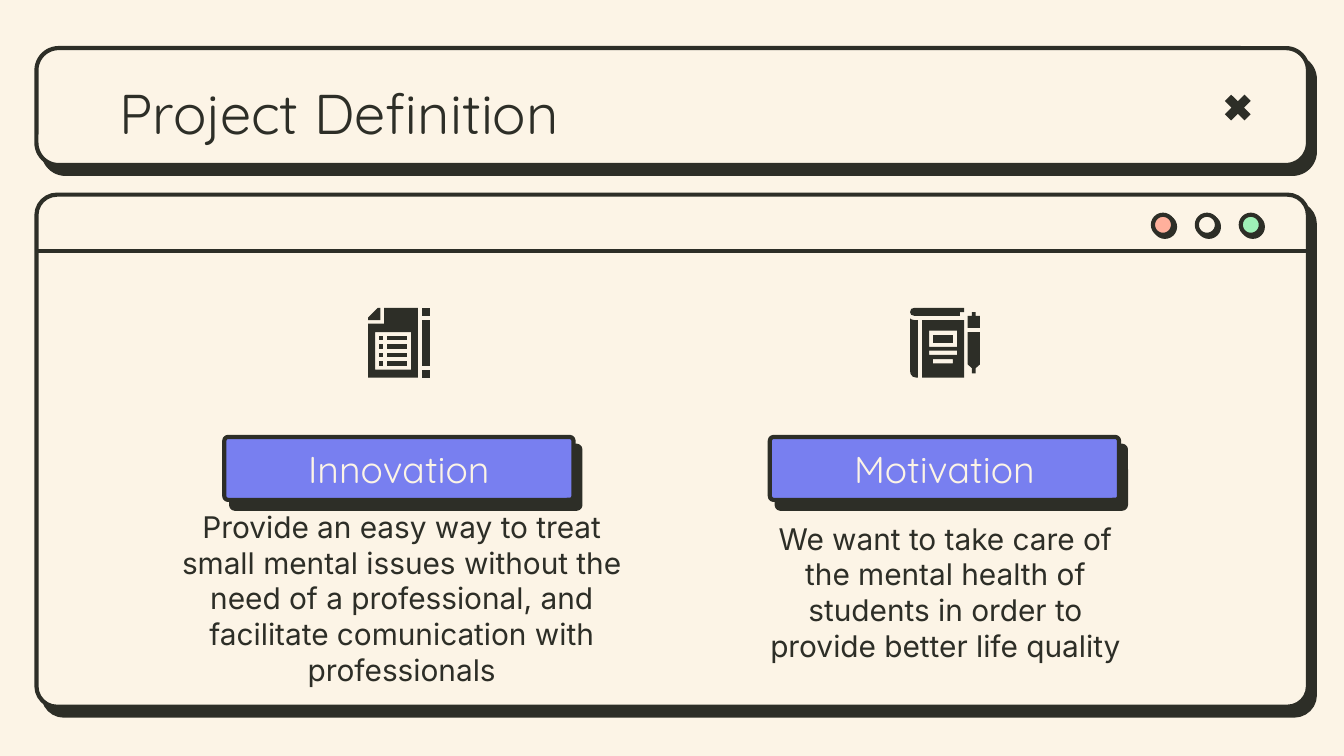
from lxml.etree import SubElement
from pptx import Presentation
from pptx.dml.color import RGBColor
from pptx.enum.shapes import MSO_CONNECTOR, MSO_SHAPE as SHAPE
from pptx.enum.text import MSO_ANCHOR as ANCHOR, MSO_AUTO_SIZE as AUTO, PP_ALIGN as ALIGN
from pptx.oxml.ns import qn
from pptx.util import Cm, Pt

CREAM = RGBColor(0xFC, 0xF4, 0xE6)
INK = RGBColor(0x2D, 0x2E, 0x27)
VIOLET = RGBColor(0x78, 0x7F, 0xF0)
CORAL = RGBColor(0xFF, 0xB0, 0x9C)
MINT = RGBColor(0x9F, 0xF1, 0xB7)

INSET = Cm(0.25)
FRAME = {"margin_left": INSET, "margin_right": INSET, "margin_top": INSET,
         "margin_bottom": INSET, "word_wrap": True, "auto_size": AUTO.NONE}
TITLE_FONT = {"name": "Quicksand", "size": Pt(30), "bold": False}
LABEL_FONT = {"name": "Quicksand", "size": Pt(20), "bold": False}
BODY_FONT = {"name": "Inter", "size": Pt(16), "bold": False}


def write(shape, text, font, color, align=ALIGN.CENTER, anchor=ANCHOR.MIDDLE):
    frame = shape.text_frame
    for key, value in {**FRAME, "vertical_anchor": anchor}.items():
        setattr(frame, key, value)
    paragraph = frame.paragraphs[0]
    paragraph.alignment = align
    run = paragraph.add_run()
    run.text = text
    for key, value in font.items():
        setattr(run.font, key, value)
    run.font.color.rgb = color


def box(left, top, width, height):
    right, bottom = left + width, top + height
    return [(left, top), (right, top), (right, bottom), (left, bottom)]


prs = Presentation()
prs.slide_width, prs.slide_height = Cm(25.4), Cm(14.29)
slide = prs.slides.add_slide(prs.slide_layouts[5])
slide.background.fill.solid()
slide.background.fill.fore_color.rgb = CREAM
shapes = slide.shapes

window = (SHAPE.ROUNDED_RECTANGLE, 0.69, 3.68, 24.03, 9.68, 0.04, CREAM, 6, 52)
buttons = [(SHAPE.OVAL, 21.79 + 0.83 * i, 4.06, 0.38, 0.38, None, color, 1.5, 45)
           for i, color in enumerate((CORAL, CREAM, MINT))]
title_bar = (SHAPE.ROUNDED_RECTANGLE, 0.69, 0.91, 24.03, 2.21, 0.19, CREAM, 6, 52)
labels = [(SHAPE.ROUNDED_RECTANGLE, left, 8.26, 6.6, 1.19, 0.06, VIOLET, 6, 52)
          for left in (4.24, 14.55)]

raised = []
for kind, left, top, width, height, corner, color, distance, angle in (
        window, *buttons, title_bar, *labels):
    part = shapes.add_shape(kind, Cm(left), Cm(top), Cm(width), Cm(height))
    if corner is not None:
        part.adjustments[0] = corner
    part.fill.solid()
    part.fill.fore_color.rgb = color
    part.line.color.rgb = INK
    part.line.width = Pt(2.25)
    part.shadow.inherit = False
    effects = part.element.spPr.find(qn("a:effectLst"))
    shadow = SubElement(effects, qn("a:outerShdw"), dist=str(Pt(distance)),
                        dir=str(angle * 60000), algn="bl", rotWithShape="0")
    SubElement(shadow, qn("a:srgbClr"), val=str(INK))
    raised.append(part)

divider = shapes.add_connector(MSO_CONNECTOR.STRAIGHT, Cm(0.69), Cm(4.75), Cm(24.7), Cm(4.75))
divider.line.color.rgb = INK
divider.line.width = Pt(2.25)
SubElement(divider.element.spPr, qn("a:effectLst"))

close_mark = shapes.add_shape(SHAPE.MATH_MULTIPLY, Cm(23.04), Cm(1.68), Cm(0.71), Cm(0.71))
close_mark.fill.solid()
close_mark.fill.fore_color.rgb = INK
close_mark.line.fill.background()
close_mark.shadow.inherit = False

title = shapes.title
title.left, title.top, title.width, title.height = Cm(2.01), Cm(1.24), Cm(21.41), Cm(1.6)
write(title, "Project Definition", TITLE_FONT, INK, ALIGN.LEFT, ANCHOR.TOP)
title.element.getparent().append(title.element)

topics = [
    ("Innovation", (3, 9.83, 9.19, 2.95),
     "Provide an easy way to treat small mental issues without the need of a "
     "professional, and facilitate comunication with professionals"),
    ("Motivation", (14.02, 9.83, 7.7, 2.72),
     "We want to take care of the mental health of students in order to "
     "provide better life quality"),
]
for label, (heading, place, body) in zip(raised[-2:], topics):
    write(label, heading, LABEL_FONT, CREAM)
    write(shapes.add_textbox(*map(Cm, place)), body, BODY_FONT, INK)

checklist = [
    [[(18, 0), (0, 18), (0, 23), (23, 23), (23, 0)]],
    [[(30, 0), (30, 30), (0, 30), (0, 132), (94, 132), (94, 0)], box(13, 46, 68, 71)],
    *[[box(102, top, 15, height)] for top, height in ((0, 15), (23, 86), (117, 15))],
    *[[box(left, 53 + 16 * row, width, 8)]
      for row in range(4) for left, width in ((20, 8), (36, 38))],
]
notebook = [
    [[(0, 20), (0, 119), (1, 125), (5, 130), (12, 132), (15, 132), (15, 23), (8, 23), (3, 22)]],
    [box(23, 23, 79, 109), box(36, 43, 53, 31), box(36, 81, 53, 8), box(43, 97, 38, 8)],
    [box(43, 51, 38, 15)],
    [[(8, 0), (2, 2), (0, 8), (2, 13), (8, 15), (94, 15), (94, 8), (102, 8), (102, 0)]],
    [[(117, 8), (117, 15), (109, 15), (109, 38), (132, 38), (132, 15), (124, 15), (124, 8)]],
    [[(109, 46), (109, 107), (117, 114), (117, 124), (124, 124), (124, 114), (132, 107),
      (132, 46)]],
]
for icon, left in ((checklist, 6.96), (notebook, 17.2)):
    for outline, *holes in icon:
        builder = shapes.build_freeform(*outline[0], scale=Cm(0.01))
        builder.add_line_segments(outline[1:], close=True)
        for hole in holes:
            builder.move_to(*hole[0])
            builder.add_line_segments(hole[1:], close=True)
        piece = builder.convert_to_shape(Cm(left), Cm(5.82))
        piece.fill.solid()
        piece.fill.fore_color.rgb = INK
        piece.line.fill.background()
        piece.shadow.inherit = False

prs.save("out.pptx")
